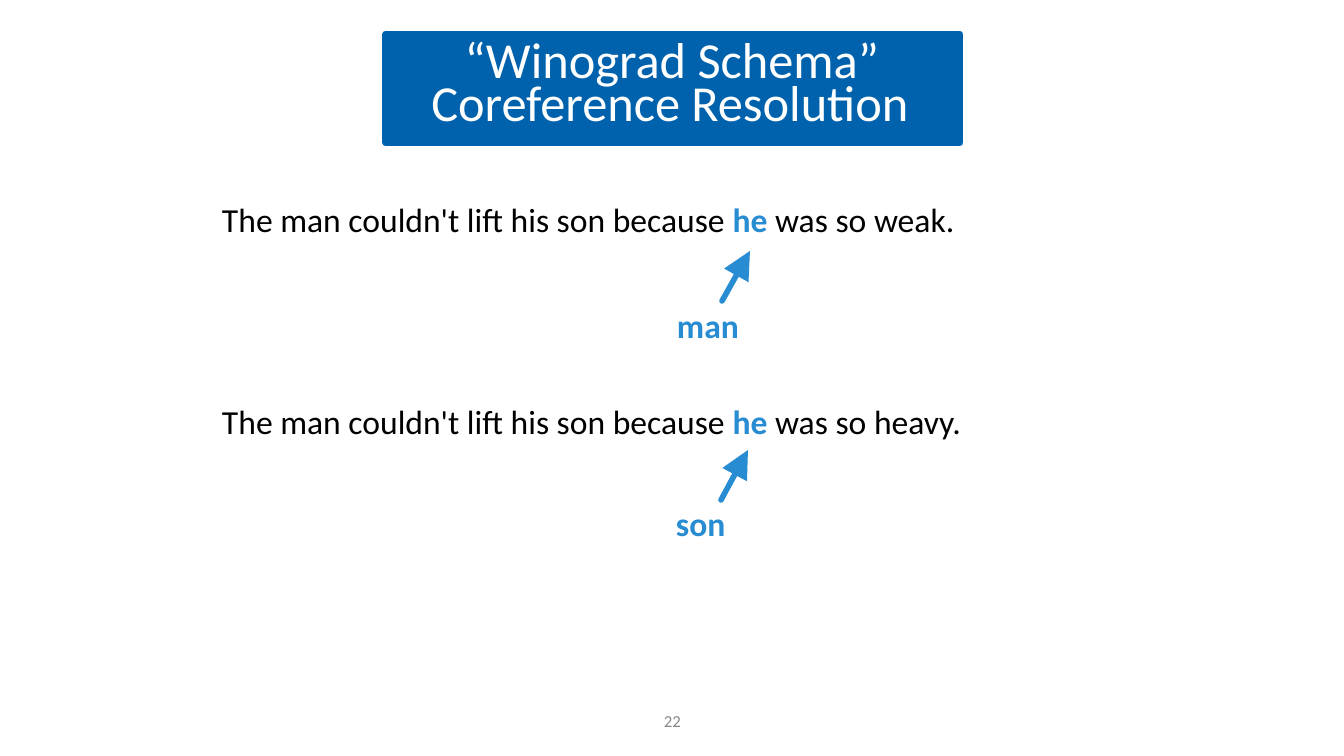
from dataclasses import dataclass

from lxml import etree
from pptx import Presentation
from pptx.dml.color import RGBColor
from pptx.enum.shapes import MSO_CONNECTOR, MSO_SHAPE
from pptx.enum.text import MSO_ANCHOR, PP_ALIGN
from pptx.oxml.ns import qn
from pptx.slide import Slide
from pptx.util import Emu, Pt

EMU_PER_PX = 914400 / 100.8
FONT = "Calibri"

BANNER_BLUE = RGBColor(0x00, 0x62, 0xAC)
ACCENT_BLUE = RGBColor(0x28, 0x8C, 0xD2)
BLACK = RGBColor(0x00, 0x00, 0x00)
WHITE = RGBColor(0xFF, 0xFF, 0xFF)
GRAY = RGBColor(0x89, 0x89, 0x89)

LEFT, CENTER = PP_ALIGN.LEFT, PP_ALIGN.CENTER
TOP = MSO_ANCHOR.TOP
RECTANGLE = MSO_SHAPE.RECTANGLE
STRAIGHT = MSO_CONNECTOR.STRAIGHT


@dataclass(frozen=True)
class Box:
    x: int
    y: int
    width: int
    height: int


@dataclass(frozen=True)
class Span:
    text: str
    accent: bool = False


@dataclass(frozen=True)
class Line:
    spans: tuple[Span, ...]
    indent: int = 0
    space_before: float = 0


@dataclass(frozen=True)
class Arrow:
    tail: tuple[int, int]
    tip: tuple[int, int]


def px(length: int) -> Emu:
    return Emu(round(length * EMU_PER_PX))


def plain(text: str) -> Line:
    return Line((Span(text),))


def sentence(ending: str, space_before: float = 0) -> Line:
    spans = (
        Span("The man couldn't lift his son because "),
        Span("he ", accent=True),
        Span(f"was so {ending}."),
    )
    return Line(spans, indent=1, space_before=space_before)


def answer(word: str, indent: int, space_before: float) -> Line:
    return Line((Span(word, accent=True),), indent, space_before)


TITLE_LINES = (
    (Box(462, 26, 420, 64), "“Winograd Schema”"),
    (Box(425, 69, 490, 64), "Coreference Resolution"),
)
EXAMPLES = (
    sentence("weak"),
    answer("man", indent=456, space_before=46.8),
    sentence("heavy", space_before=39.7),
    answer("son", indent=455, space_before=44.1),
)
ARROWS = (
    Arrow(tail=(722, 301), tip=(750, 251)),
    Arrow(tail=(721, 500), tip=(748, 450)),
)


def add_text(slide: Slide, box: Box, lines: tuple[Line, ...], *, size: int,
             color: RGBColor, align: PP_ALIGN = LEFT) -> None:
    frame = slide.shapes.add_textbox(
        px(box.x), px(box.y), px(box.width), px(box.height)).text_frame
    frame.word_wrap = True
    frame.vertical_anchor = TOP
    frame.margin_left = frame.margin_right = frame.margin_bottom = 0
    frame.margin_top = px(2)
    for index, line in enumerate(lines):
        paragraph = frame.add_paragraph() if index else frame.paragraphs[0]
        paragraph.alignment = align
        if line.space_before:
            paragraph.space_before = Pt(line.space_before)
        if line.indent:
            properties = paragraph._p.get_or_add_pPr()
            properties.set("marL", str(px(line.indent)))
            properties.set("indent", "0")
        for span in line.spans:
            run = paragraph.add_run()
            run.text = span.text
            run.font.name = FONT
            run.font.size = Pt(size)
            run.font.bold = span.accent
            run.font.color.rgb = ACCENT_BLUE if span.accent else color


def add_banner(slide: Slide, box: Box) -> None:
    banner = slide.shapes.add_shape(
        RECTANGLE, px(box.x), px(box.y), px(box.width), px(box.height))
    banner.shadow.inherit = False
    banner.fill.solid()
    banner.fill.fore_color.rgb = BANNER_BLUE
    banner.line.color.rgb = BANNER_BLUE
    banner.line.width = Pt(5)
    etree.SubElement(banner.line._get_or_add_ln(), qn("a:round"))


def add_arrow(slide: Slide, arrow: Arrow) -> None:
    connector = slide.shapes.add_connector(
        STRAIGHT, *map(px, arrow.tail), *map(px, arrow.tip))
    connector.line.color.rgb = ACCENT_BLUE
    connector.line.width = Pt(4)
    outline = connector.line._get_or_add_ln()
    outline.set("cap", "rnd")
    etree.SubElement(outline, qn("a:round"))
    etree.SubElement(outline, qn("a:tailEnd"), type="triangle", w="lg", len="lg")
    etree.SubElement(connector._element.spPr, qn("a:effectLst"))


def main() -> None:
    presentation = Presentation()
    presentation.slide_width = px(1344)
    presentation.slide_height = px(756)
    slide = presentation.slides.add_slide(presentation.slide_layouts[6])

    # Title banner
    add_banner(slide, Box(386, 34, 574, 109))
    for box, text in TITLE_LINES:
        add_text(slide, box, (plain(text),), size=36, color=WHITE, align=CENTER)

    # Pronouns and what they refer to
    for arrow in ARROWS:
        add_arrow(slide, arrow)
    add_text(slide, Box(221, 197, 750, 347), EXAMPLES, size=24, color=BLACK)

    # Page number
    add_text(slide, Box(664, 709, 25, 21), (plain("22"),), size=12, color=GRAY)

    presentation.save("out.pptx")


if __name__ == "__main__":
    main()
